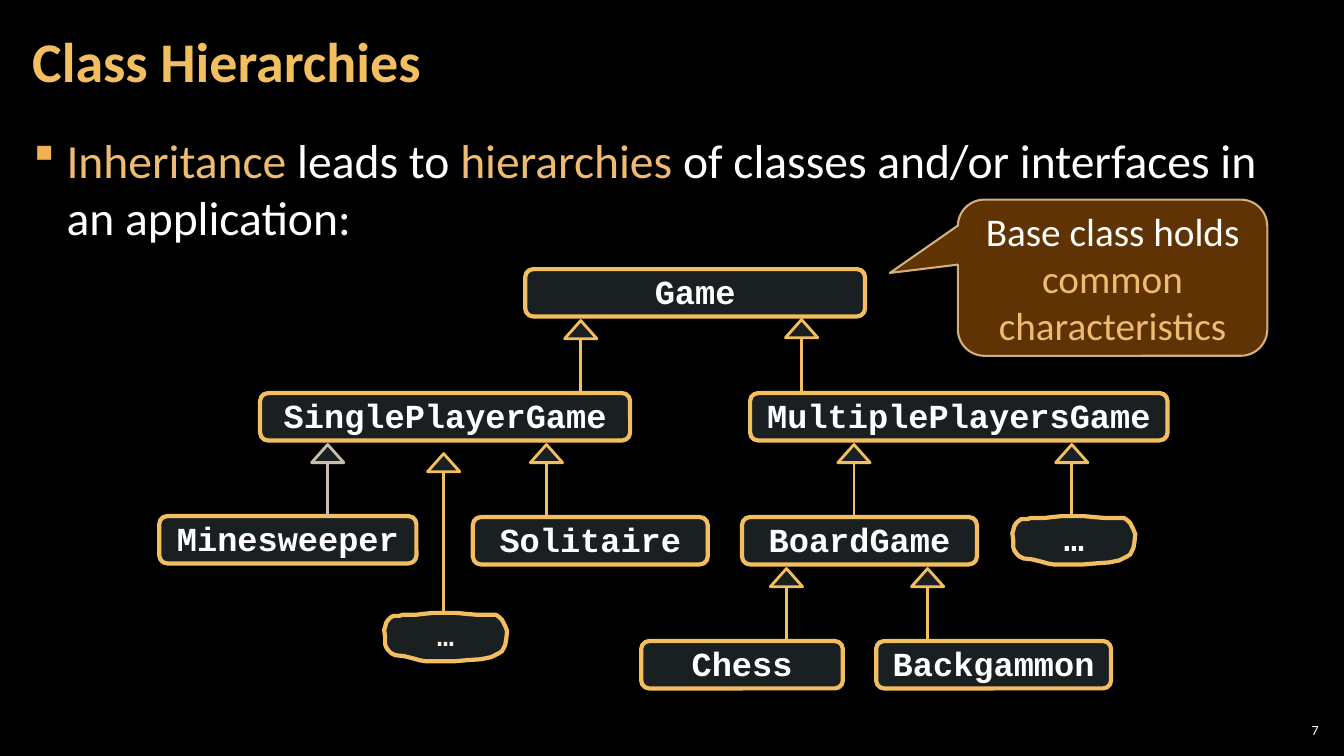
import pptx
import pptx.util
import pptx.dml.color
import pptx.enum.shapes
import pptx.enum.text
import pptx.oxml
import pptx.oxml.ns
import lxml.etree
from dataclasses import dataclass

Inches, Pt = pptx.util.Inches, pptx.util.Pt
RGB = pptx.dml.color.RGBColor.from_string
Kind = pptx.enum.shapes.MSO_SHAPE
Align = pptx.enum.text.PP_ALIGN
Anchor = pptx.enum.text.MSO_ANCHOR
qn = pptx.oxml.ns.qn


@dataclass
class Theme:
    back: str = "000000"
    white: str = "FFFFFF"
    cream: str = "FBEEDC"
    gold: str = "F3BE60"
    amber: str = "EFBB72"
    bullet: str = "F2B254"
    grey: str = "C7BFAC"
    glass: str = "B5DBE5"
    brown: str = "663606"
    rim: str = "F8D49E"
    sans: str = "Calibri"
    mono: str = "Courier New"
    title: int = 40
    body: int = 34
    note: int = 28
    label: int = 24
    small: int = 20
    page: int = 10


theme = Theme()


def write(shape, runs, size, font=theme.sans, bold=False, align=Align.LEFT,
          anchor=Anchor.MIDDLE, wrap=True, inset=(0.1, 0.05), space=None):
    frame = shape.text_frame
    frame.word_wrap = wrap
    frame.vertical_anchor = anchor
    frame.margin_left = frame.margin_right = Inches(inset[0])
    frame.margin_top = frame.margin_bottom = Inches(inset[1])
    para = frame.paragraphs[0]
    para.alignment = align
    if space:
        para.line_spacing = space
    for words, color in runs:
        run = para.add_run()
        run.text = words
        run.font.name, run.font.size, run.font.bold = font, Pt(size), bold
        run.font.color.rgb = RGB(color)
    return para


def paint(shape, line, width, fill=None, alpha=100, edge=100):
    shape.line.color.rgb = RGB(line)
    shape.line.width = Pt(width)
    if fill:
        shape.fill.solid()
        shape.fill.fore_color.rgb = RGB(fill)
        shape.shadow.inherit = False
    else:
        lxml.etree.SubElement(shape.element.spPr, qn("a:effectLst"))
    props = shape.element.spPr
    for route, part in (("a:solidFill", alpha), ("a:ln/a:solidFill", edge)):
        if part < 100:
            tint = props.find("/".join(qn(tag) for tag in route.split("/")))[0]
            lxml.etree.SubElement(tint, qn("a:alpha")).set("val", str(part * 1000))


deck = pptx.Presentation()
deck.slide_width, deck.slide_height = Inches(13.33), Inches(7.5)
slide = deck.slides.add_slide(deck.slide_layouts[6])
slide.background.fill.solid()
slide.background.fill.fore_color.rgb = RGB(theme.back)
shapes = slide.shapes

# Title and page number
box = shapes.add_textbox(Inches(0.2), Inches(0.05), Inches(10.47), Inches(1.21))
write(box, [("Class Hierarchies", theme.gold)], theme.title, bold=True,
      inset=(0.12, 0.04), space=Pt(40))
box = shapes.add_textbox(Inches(12.65), Inches(7.14), Inches(0.47), Inches(0.21))
write(box, [("7", theme.white)], theme.page, align=Align.RIGHT, inset=(0.04, 0.04))

# Bullet sentence
box = shapes.add_textbox(Inches(0.21), Inches(1.26), Inches(12.91), Inches(6.09))
para = write(box, [("Inheritance", theme.amber), (" leads to ", theme.white),
                   ("hierarchies", theme.amber),
                   (" of classes and/or interfaces in an application:", theme.white)],
             theme.body, anchor=Anchor.TOP, inset=(0.12, 0.04))
para.space_after = Pt(6)
props = para._p.get_or_add_pPr()
props.set("marL", str(Inches(0.33)))
props.set("indent", str(-Inches(0.33)))
mark = lxml.etree.SubElement(props, qn("a:buClr"))
lxml.etree.SubElement(mark, qn("a:srgbClr")).set("val", theme.bullet)
mark = lxml.etree.SubElement(props, qn("a:buFont"))
mark.set("typeface", "Wingdings")
mark.set("charset", "2")
lxml.etree.SubElement(props, qn("a:buChar")).set("char", "§")

# Class boxes: name, left, top, width
for name, left, top, width in (
        ("Game", 5.21, 2.67, 3.37),
        ("SinglePlayerGame", 2.58, 3.9, 3.67),
        ("MultiplePlayersGame", 7.44, 3.9, 4.14),
        ("Minesweeper", 1.58, 5.12, 2.55),
        ("Solitaire", 4.69, 5.13, 2.33),
        ("BoardGame", 7.36, 5.13, 2.33),
        ("Chess", 6.36, 6.36, 2),
        ("Backgammon", 8.69, 6.36, 2.33)):
    node = shapes.add_shape(Kind.ROUNDED_RECTANGLE, Inches(left), Inches(top),
                            Inches(width), Inches(0.47))
    paint(node, theme.gold, 3, theme.glass, 15)
    write(node, [(name, theme.white)], theme.label, theme.mono, True,
          Align.CENTER, wrap=False, space=0.95)

# Inheritance arrows: tip x, tip y, foot y, colour
for x, tip, foot, color in (
        (5.76, 3.18, 3.89, theme.gold), (7.95, 3.17, 3.88, theme.gold),
        (3.25, 4.41, 5.12, theme.grey), (5.42, 4.41, 5.12, theme.gold),
        (8.47, 4.41, 5.12, theme.gold), (10.63, 4.41, 5.12, theme.gold),
        (4.4, 4.5, 6.08, theme.gold),
        (7.8, 5.64, 6.35, theme.gold), (9.2, 5.64, 6.35, theme.gold)):
    base = Inches(tip + 0.18)
    pen = shapes.build_freeform(Inches(x - 0.16), base)
    pen.add_line_segments([(Inches(x + 0.16), base), (Inches(x), Inches(tip))],
                          close=True)
    paint(pen.convert_to_shape(), color, 2, theme.glass, 15)
    stem = shapes.add_connector(pptx.enum.shapes.MSO_CONNECTOR.STRAIGHT,
                                Inches(x), base, Inches(x), Inches(foot))
    paint(stem, color, 2)

# Wavy outlines for further classes
wave = [(0, 0.17), (0.01, 0.14), (0.02, 0.1), (0.04, 0.07), (0.06, 0.05),
        (0.09, 0.03), (0.15, 0.03), (0.18, 0.02), (0.31, 0.02), (0.39, 0.01),
        (0.49, 0), (0.71, 0), (0.81, 0.01), (0.93, 0.02), (1.07, 0.02),
        (1.11, 0.02), (1.14, 0.04), (1.17, 0.07), (1.2, 0.13), (1.22, 0.18),
        (1.21, 0.27), (1.2, 0.32), (1.17, 0.38), (1.14, 0.4), (1.1, 0.42),
        (1.06, 0.44), (1.01, 0.45), (0.96, 0.46), (0.82, 0.47), (0.7, 0.48),
        (0.41, 0.48), (0.35, 0.47), (0.28, 0.45), (0.2, 0.43), (0.11, 0.42),
        (0.07, 0.4), (0.04, 0.37), (0.02, 0.34), (0.01, 0.31), (0.01, 0.24)]
for left, top, size, color in ((10.04, 5.12, theme.label, theme.white),
                               (3.81, 6.08, theme.small, theme.cream)):
    dots = [(Inches(left + x), Inches(top + y)) for x, y in wave]
    pen = shapes.build_freeform(*dots[0])
    pen.add_line_segments(dots[1:], close=True)
    node = pen.convert_to_shape()
    paint(node, theme.gold, 3, theme.glass, 15)
    write(node, [("…", color)], size, theme.mono, True, Align.CENTER,
          wrap=False, space=0.95)

# Callout on the base class
note = shapes.add_shape(Kind.ROUNDED_RECTANGULAR_CALLOUT, Inches(9.5), Inches(1.98),
                        Inches(3.07), Inches(1.55))
for index, value in enumerate((-0.72, -0.03, 0.17)):
    note.adjustments[index] = value
paint(note, theme.rim, 1.5, theme.brown, 95, 80)
write(note, [("Base class holds ", theme.white), ("common characteristics", theme.amber)],
      theme.note, align=Align.CENTER)

deck.save("out.pptx")
